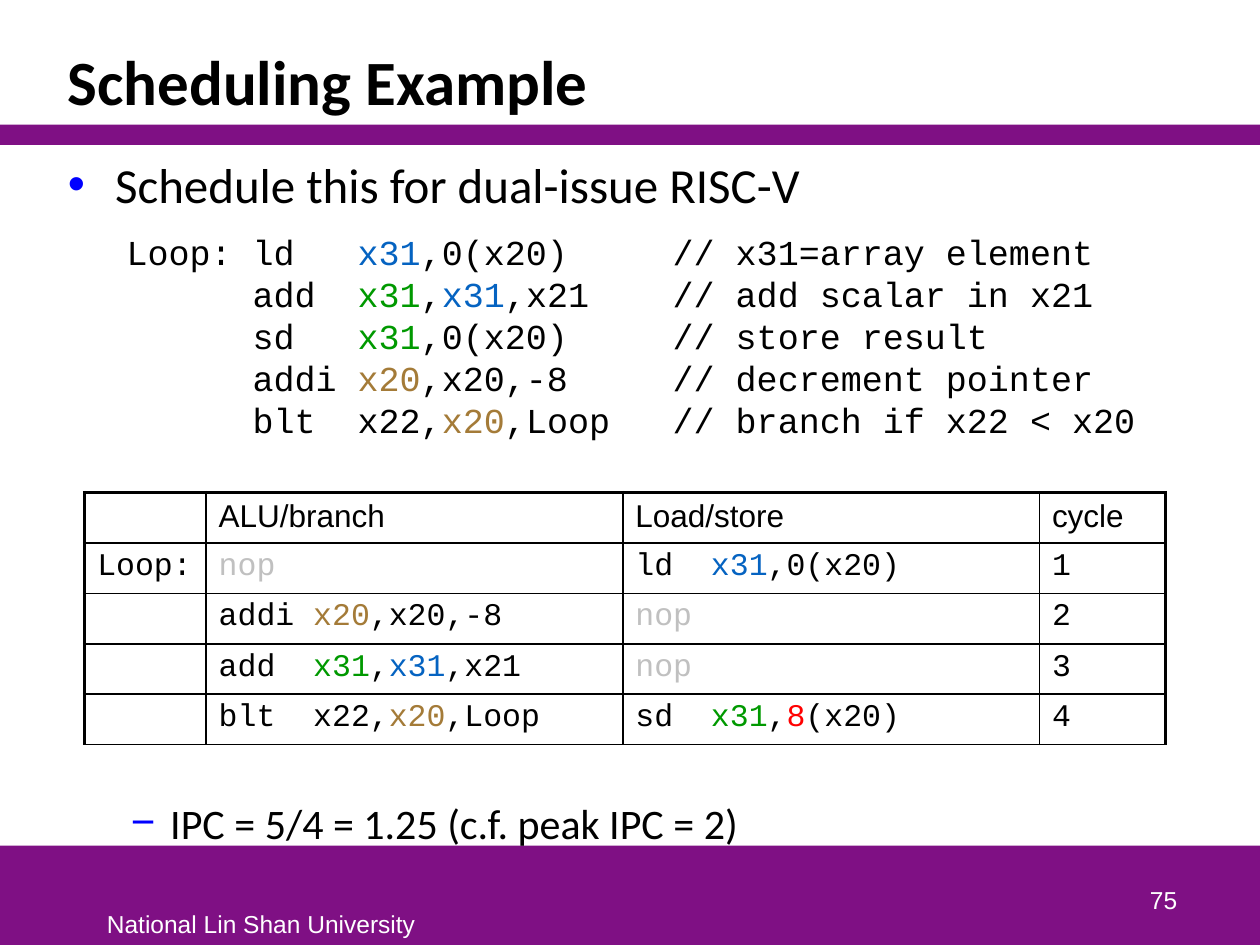
from lxml import etree
from pptx import Presentation
from pptx.dml.color import RGBColor
from pptx.enum.shapes import MSO_SHAPE
from pptx.enum.text import MSO_ANCHOR, PP_ALIGN
from pptx.oxml.ns import qn
from pptx.util import Pt

RECTANGLE = MSO_SHAPE.RECTANGLE
TOP, BOTTOM = MSO_ANCHOR.TOP, MSO_ANCHOR.BOTTOM
LEFT, RIGHT = PP_ALIGN.LEFT, PP_ALIGN.RIGHT

SANS, BODY, MONO = "Arial", "Calibri", "Courier New"
BLACK, WHITE, PURPLE, BULLET_BLUE = "000000", "FFFFFF", "7F1084", "0000FF"

# Content: a plain string is black, a (text, colour) pair is highlighted
LOADED = ("x31", "0563C1")
SUM = ("x31", "009900")
POINTER = ("x20", "A47B38")
OFFSET = ("8", "FF0000")
NOP = ("nop", "C0C0C0")

TITLE = "Scheduling Example"
TASK = "Schedule this for dual-issue RISC-V"
RESULT = "IPC = 5/4 = 1.25 (c.f. peak IPC = 2)"
FOOTER = "National Lin Shan University"
PAGE = "75"

CODE = [
    ["Loop:\tld\t", LOADED, ",0(x20)\t// x31=array element"],
    ["\tadd\t", SUM, ",", LOADED, ",x21\t// add scalar in x21"],
    ["\tsd\t", SUM, ",0(x20)\t// store result"],
    ["\taddi\t", POINTER, ",x20,-8\t// decrement pointer"],
    ["\tblt\tx22,", POINTER, ",Loop\t// branch if x22 < x20"],
]
SCHEDULE = [
    [[], ["ALU/branch"], ["Load/store"], ["cycle"]],
    [["Loop:"], [NOP], ["ld\t", LOADED, ",0(x20)"], ["1"]],
    [[], ["addi\t", POINTER, ",x20,-8"], [NOP], ["2"]],
    [[], ["add\t", SUM, ",", LOADED, ",x21"], [NOP], ["3"]],
    [[], ["blt\tx22,", POINTER, ",Loop"], ["sd\t", SUM, ",", OFFSET, "(x20)"], ["4"]],
]

# Layout, in points
SLIDE_W, SLIDE_H = 720, 540
BARS = [(483.3, 56.7), (71.3, 11.5)]
MARGIN, CONTENT_W = 31.7, 656.6
COLUMN_WIDTHS = [69.4, 238.1, 238.1, 72]
ROW_H = 28.8
CODE_SIZE, CELL_SIZE = 20, 18
CHAR_RATIO = 0.6  # advance of a monospaced character, in ems
CODE_STOPS = [6, 11, 26]  # characters before opcode, operands, comment
CELL_STOPS = [[], [5], [4], []]
THICK, MEDIUM, THIN = 2.25, 1.5, 1


def rgb(color):
    return RGBColor.from_string(color)


def add_runs(paragraph, runs, font, size, color=BLACK, bold=False):
    for part in runs:
        text, part_color = (part, color) if isinstance(part, str) else part
        run = paragraph.add_run()
        run.text = text
        run.font.name, run.font.size, run.font.bold = font, Pt(size), bold
        run.font.color.rgb = rgb(part_color)


def add_text(slide, box, lines, font, size, color=BLACK, bold=False,
             anchor=TOP, align=LEFT, wrap=True):
    frame = slide.shapes.add_textbox(*map(Pt, box)).text_frame
    frame.word_wrap, frame.vertical_anchor = wrap, anchor
    for index, runs in enumerate(lines):
        paragraph = frame.add_paragraph() if index else frame.paragraphs[0]
        paragraph.alignment = align
        add_runs(paragraph, runs, font, size, color, bold)
    return frame.paragraphs


def set_tabs(paragraph, stops, size):
    if stops:
        tabs = etree.SubElement(paragraph._p.get_or_add_pPr(), qn("a:tabLst"))
        for stop in stops:
            position = Pt(stop * size * CHAR_RATIO)
            etree.SubElement(tabs, qn("a:tab"), pos=str(position), algn="l")


def set_bullet(paragraph, char, margin, hanging):
    props = paragraph._p.get_or_add_pPr()
    props.set("marL", str(Pt(margin)))
    props.set("indent", str(-Pt(hanging)))
    bullet_color = etree.SubElement(props, qn("a:buClr"))
    etree.SubElement(bullet_color, qn("a:srgbClr"), val=BULLET_BLUE)
    etree.SubElement(props, qn("a:buFont"), typeface=SANS)
    etree.SubElement(props, qn("a:buChar"), char=char)


def set_borders(cell, widths):
    props = cell._tc.get_or_add_tcPr()
    for side, width in zip("LRTB", widths):
        line = etree.SubElement(props, qn(f"a:ln{side}"), w=str(Pt(width)))
        fill = etree.SubElement(line, qn("a:solidFill"))
        etree.SubElement(fill, qn("a:srgbClr"), val=BLACK)


def add_schedule(slide, left, top):
    row_count, column_count = len(SCHEDULE), len(COLUMN_WIDTHS)
    table = slide.shapes.add_table(
        row_count, column_count, Pt(left), Pt(top),
        Pt(sum(COLUMN_WIDTHS)), Pt(ROW_H * row_count)).table
    table.first_row = table.horz_banding = False
    for column, width in zip(table.columns, COLUMN_WIDTHS):
        column.width = Pt(width)
    for r, entries in enumerate(SCHEDULE):
        table.rows[r].height = Pt(ROW_H)
        for c, runs in enumerate(entries):
            cell = table.cell(r, c)
            paragraph = cell.text_frame.paragraphs[0]
            add_runs(paragraph, runs, MONO if r else SANS, CELL_SIZE)
            set_tabs(paragraph, CELL_STOPS[c], CELL_SIZE)
            set_borders(cell, [
                THICK if c == 0 else THIN,
                THICK if c == column_count - 1 else THIN,
                {0: THICK, 1: MEDIUM}.get(r, THIN),
                MEDIUM if r == 0 else THIN,
            ])
            cell.fill.background()


def main():
    deck = Presentation()
    deck.slide_width, deck.slide_height = Pt(SLIDE_W), Pt(SLIDE_H)
    slide = deck.slides.add_slide(deck.slide_layouts[6])

    # Purple bars and footer
    for top, height in BARS:
        bar = slide.shapes.add_shape(RECTANGLE, 0, Pt(top), Pt(SLIDE_W), Pt(height))
        bar.shadow.inherit = False
        bar.fill.solid()
        bar.fill.fore_color.rgb = rgb(PURPLE)
        bar.line.fill.background()
    add_text(slide, (54, 516, 198.7, 24), [[FOOTER]], SANS, 14, WHITE, wrap=False)
    add_text(slide, (530, 490.3, 149.8, 36), [[PAGE]], SANS, 14, WHITE,
             anchor=BOTTOM, align=RIGHT)

    # Title and bulleted lines
    title = add_text(slide, (MARGIN, 18, CONTENT_W, 53.3), [[TITLE]], BODY, 36,
                     bold=True, anchor=BOTTOM)
    title[0].line_spacing = 0.85
    task = add_text(slide, (MARGIN, 84.5, CONTENT_W, 42), [[TASK]], BODY, 28)
    set_bullet(task[0], "•", 27, 27)
    result = add_text(slide, (MARGIN, 452, CONTENT_W, 36), [[RESULT]], BODY, 24)
    set_bullet(result[0], "−", 58.5, 22.5)

    # Code listing and its schedule
    listing = add_text(slide, (65.3, 128.2, 596, 128.2), CODE, MONO, CODE_SIZE, wrap=False)
    for line in listing:
        set_tabs(line, CODE_STOPS, CODE_SIZE)
    add_schedule(slide, 48.4, 281.4)

    deck.save("out.pptx")


if __name__ == "__main__":
    main()
